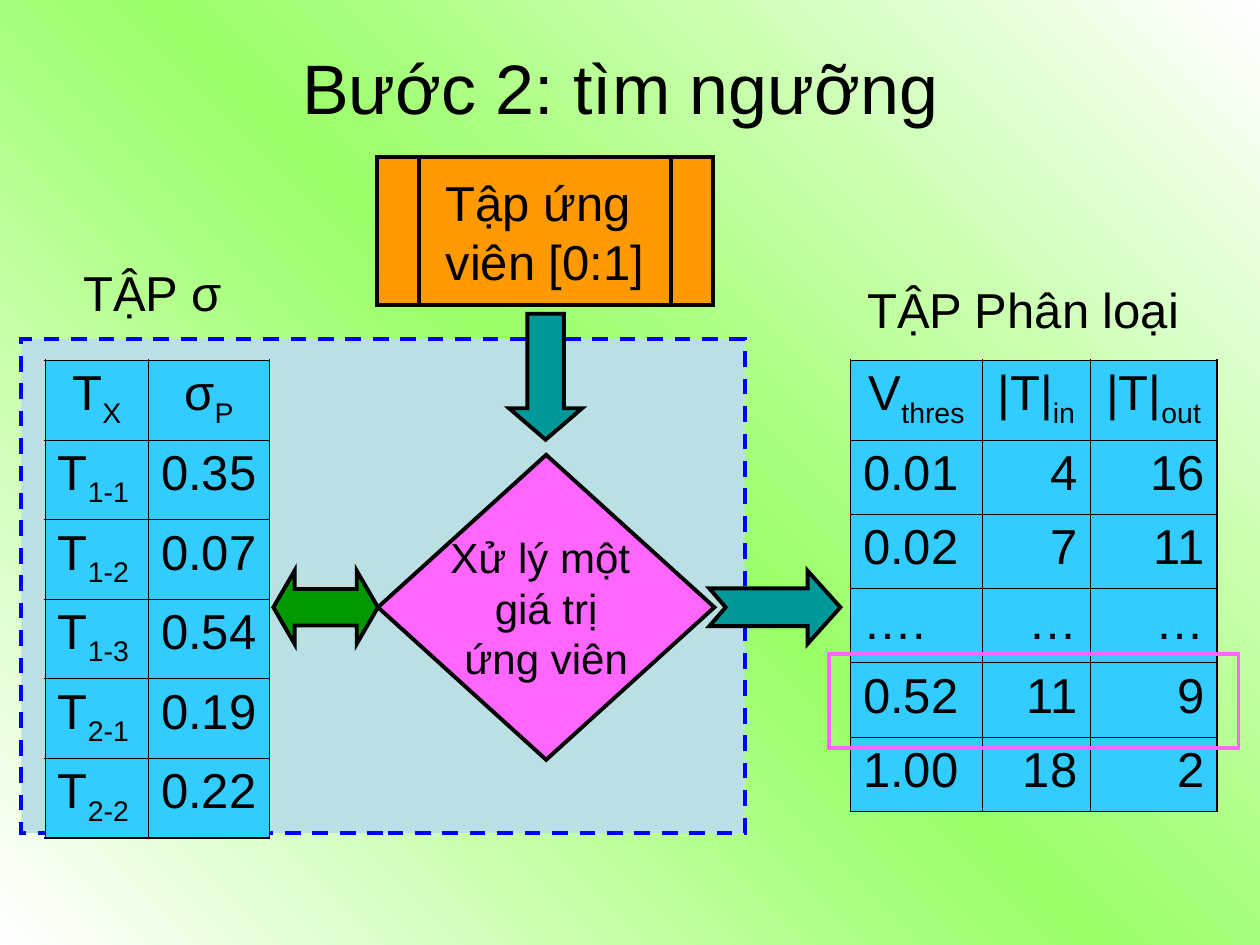
from dataclasses import dataclass

from lxml import etree
from pptx import Presentation
from pptx.dml.color import RGBColor
from pptx.enum.dml import MSO_LINE
from pptx.enum.shapes import MSO_SHAPE
from pptx.enum.text import MSO_ANCHOR, PP_ALIGN
from pptx.oxml import parse_xml
from pptx.oxml.ns import nsdecls, qn
from pptx.util import Inches, Pt

RECT = MSO_SHAPE.RECTANGLE
DIAMOND = MSO_SHAPE.FLOWCHART_DECISION
PROCESS = MSO_SHAPE.FLOWCHART_PREDEFINED_PROCESS
DOWN = MSO_SHAPE.DOWN_ARROW
BOTH = MSO_SHAPE.LEFT_RIGHT_ARROW
DASH = MSO_LINE.DASH
MIDDLE = MSO_ANCHOR.MIDDLE
LEFT, CENTER, RIGHT = PP_ALIGN.LEFT, PP_ALIGN.CENTER, PP_ALIGN.RIGHT


@dataclass(frozen=True)
class Theme:
    font: str = "Arial"
    title: float = 40
    body: float = 28
    small: float = 24
    line: float = 2.25
    outer: float = 1.08
    inner: float = 0.45
    black: str = "000000"
    white: str = "FFFFFF"
    lime: str = "99FF66"
    pale: str = "BBE0E3"
    blue: str = "0000FF"
    sky: str = "33CCFF"
    pink: str = "FF66FF"
    orange: str = "FF9900"
    teal: str = "009999"
    green: str = "009900"


THEME = Theme()

SIGMA = [
    ["T_X", "σ_P"],
    ["T_1-1", "0.35"],
    ["T_1-2", "0.07"],
    ["T_1-3", "0.54"],
    ["T_2-1", "0.19"],
    ["T_2-2", "0.22"],
]
CLASSES = [
    ["V_thres", "|T|_in", "|T|_out"],
    ["0.01", "4", "16"],
    ["0.02", "7", "11"],
    ["….", "…", "…"],
    ["0.52", "11", "9"],
    ["1.00", "18", "2"],
]


def rgb(color):
    return RGBColor.from_string(color)


def set_back(slide):
    """Diagonal gradient, from the top right to the bottom left."""
    stops = "".join(
        f'<a:gs pos="{pos}"><a:srgbClr val="{color}"/></a:gs>'
        for pos, color in ((0, THEME.white), (50000, THEME.lime), (100000, THEME.white))
    )
    back = parse_xml(
        f'<p:bg {nsdecls("p", "a")}><p:bgPr><a:gradFill rotWithShape="1">'
        f'<a:gsLst>{stops}</a:gsLst><a:lin ang="8100000" scaled="0"/>'
        "</a:gradFill><a:effectLst/></p:bgPr></p:bg>"
    )
    slide.element.cSld.insert(0, back)


def style_par(par, size, align):
    par.alignment = align
    par.font.name = THEME.font
    par.font.size = Pt(size)
    par.font.color.rgb = rgb(THEME.black)


def write(frame, text, size):
    frame.text = text
    frame.vertical_anchor = MIDDLE
    for par in frame.paragraphs:
        style_par(par, size, CENTER)


def add_label(slide, box, text, size):
    shape = slide.shapes.add_textbox(*map(Inches, box))
    shape.text_frame.word_wrap = True
    write(shape.text_frame, text, size)


def paint(shape, fill, line, dash=None):
    shape.shadow.inherit = False
    if fill:
        shape.fill.solid()
        shape.fill.fore_color.rgb = rgb(fill)
    else:
        shape.fill.background()
    shape.line.color.rgb = rgb(line)
    shape.line.width = Pt(THEME.line)
    if dash:
        shape.line.dash_style = dash
    etree.SubElement(shape.line._get_or_add_ln(), qn("a:miter"), lim="800000")


def add_block(slide, kind, box, fill, line=THEME.black, dash=None, adjust=()):
    shape = slide.shapes.add_shape(kind, *map(Inches, box))
    for i, value in enumerate(adjust):
        shape.adjustments[i] = value
    paint(shape, fill, line, dash)
    return shape


def add_node(slide, kind, box, fill, text, size):
    frame = add_block(slide, kind, box, fill).text_frame
    frame.word_wrap = False
    write(frame, text, size)


def add_notched(slide, left, mid, fill):
    """Right arrow with a notched tail, mirrored about its middle line."""
    neck, tip, notch = left + 0.78, left + 1.04, left + 0.13
    top = [(left, mid - 0.15), (neck, mid - 0.15), (neck, mid - 0.29)]
    low = [(x, 2 * mid - y) for x, y in reversed(top)]
    points = [
        (Inches(x), Inches(y)) for x, y in [*top, (tip, mid), *low, (notch, mid)]
    ]
    path = slide.shapes.build_freeform(*points[0], scale=1.0)
    path.add_line_segments(points[1:], close=True)
    paint(path.convert_to_shape(), fill, THEME.black)


def set_edge(cell, side, width):
    line = etree.SubElement(
        cell._tc.get_or_add_tcPr(), qn(f"a:ln{side}"), w=str(Pt(width))
    )
    fill = etree.SubElement(line, qn("a:solidFill"))
    etree.SubElement(fill, qn("a:srgbClr"), val=THEME.black)


def fill_cell(cell, text, align):
    """Text after an underscore is set as a subscript."""
    par = cell.text_frame.paragraphs[0]
    base, _, sub = text.partition("_")
    par.add_run().text = base
    if sub:
        run = par.add_run()
        run.text = sub
        run.font._element.set("baseline", "-25000")
    style_par(par, THEME.body, align)
    par.space_before = Pt(7)


def add_grid(slide, left, top, rows, widths, heights, aligns):
    last_row, last_col = len(rows) - 1, len(widths) - 1
    frame = slide.shapes.add_table(
        len(rows), len(widths), Inches(left), Inches(top),
        Inches(sum(widths)), Inches(sum(heights)),
    )
    table = frame.table
    table.first_row = table.horz_banding = False
    for col, width in zip(table.columns, widths):
        col.width = Inches(width)
    for r, row in enumerate(rows):
        table.rows[r].height = Inches(heights[r])
        for c, text in enumerate(row):
            cell = table.cell(r, c)
            fill_cell(cell, text, aligns[c] if r else CENTER)
            edges = {"L": c == 0, "R": c == last_col, "T": r == 0, "B": r == last_row}
            for side, outer in edges.items():
                set_edge(cell, side, THEME.outer if outer else THEME.inner)
            cell.fill.solid()
            cell.fill.fore_color.rgb = rgb(THEME.sky)


def main():
    deck = Presentation()
    deck.slide_width, deck.slide_height = Inches(10), Inches(7.5)
    slide = deck.slides.add_slide(deck.slide_layouts[6])
    set_back(slide)

    add_block(slide, RECT, (0.17, 2.69, 5.74, 3.92), THEME.pale, THEME.blue, DASH)
    add_label(slide, (0.5, 0.3, 9, 0.78), "Bước 2: tìm ngưỡng ", THEME.title)
    add_grid(slide, 0.36, 2.86, SIGMA, [0.82, 0.96], [0.63] * 6, [LEFT, LEFT])
    add_label(slide, (0.5, 2.03, 1.42, 0.57), "TẬP σ", THEME.body)
    add_grid(slide, 6.75, 2.86, CLASSES, [1.05, 0.85, 1.01],
             [0.63] + [0.59] * 5, [LEFT, RIGHT, RIGHT])
    add_label(slide, (6.58, 2.17, 3.08, 0.57), "TẬP Phân loại", THEME.body)
    add_block(slide, RECT, (6.58, 5.19, 3.25, 0.75), None, THEME.pink)

    add_node(slide, DIAMOND, (3, 3.61, 2.67, 2.42), THEME.pink,
             "Xử lý một \ngiá trị\nứng viên", THEME.small)
    add_node(slide, PROCESS, (2.99, 1.25, 2.67, 1.17), THEME.orange,
             "Tập ứng \nviên [0:1]", THEME.body)
    add_block(slide, DOWN, (4.04, 2.49, 0.58, 1), THEME.teal, adjust=(0.5, 0.43))
    add_notched(slide, 5.63, 4.82, THEME.teal)
    add_block(slide, BOTH, (2.17, 4.53, 0.83, 0.58), THEME.green, adjust=(0.5, 0.29))
    deck.save("out.pptx")


if __name__ == "__main__":
    main()
